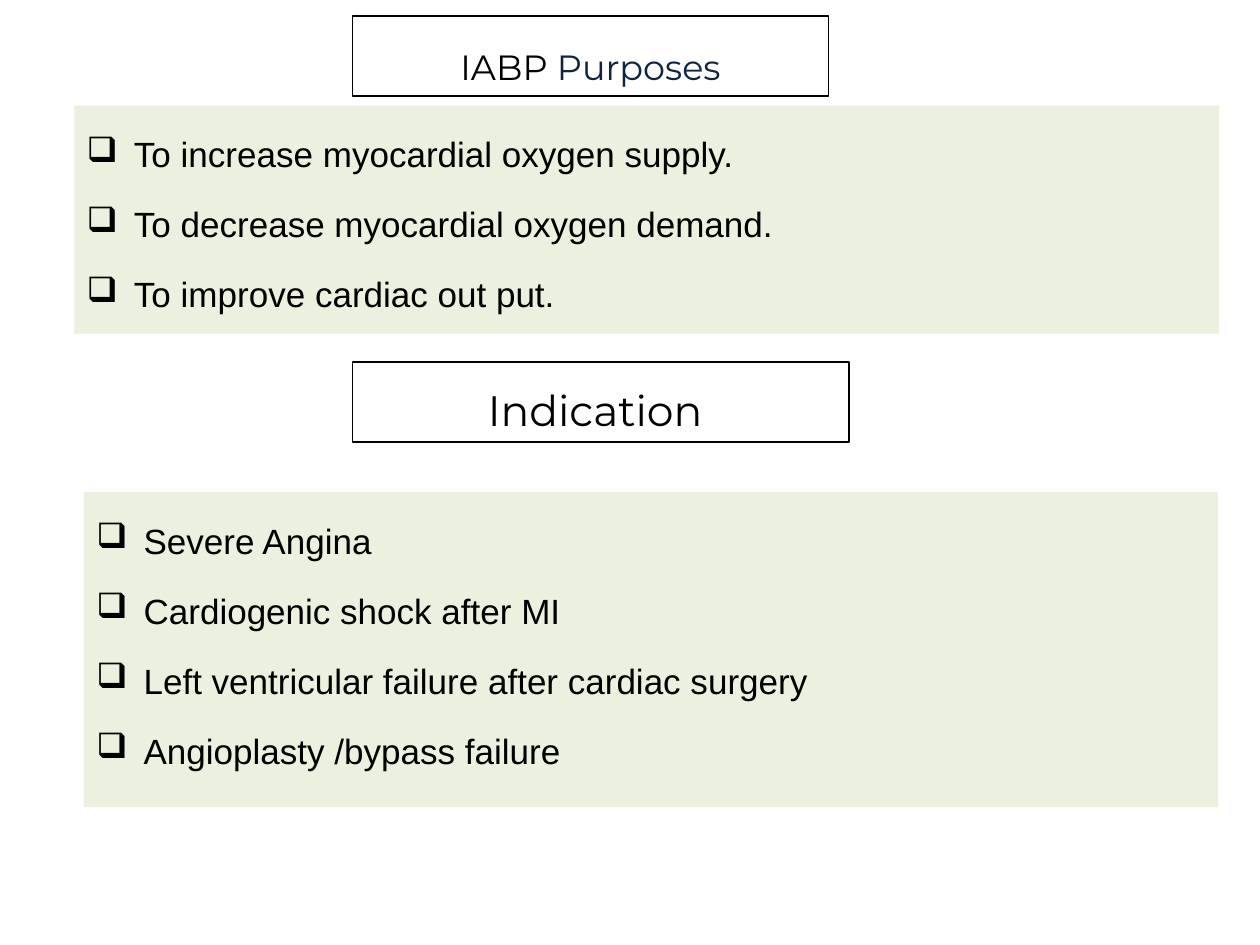
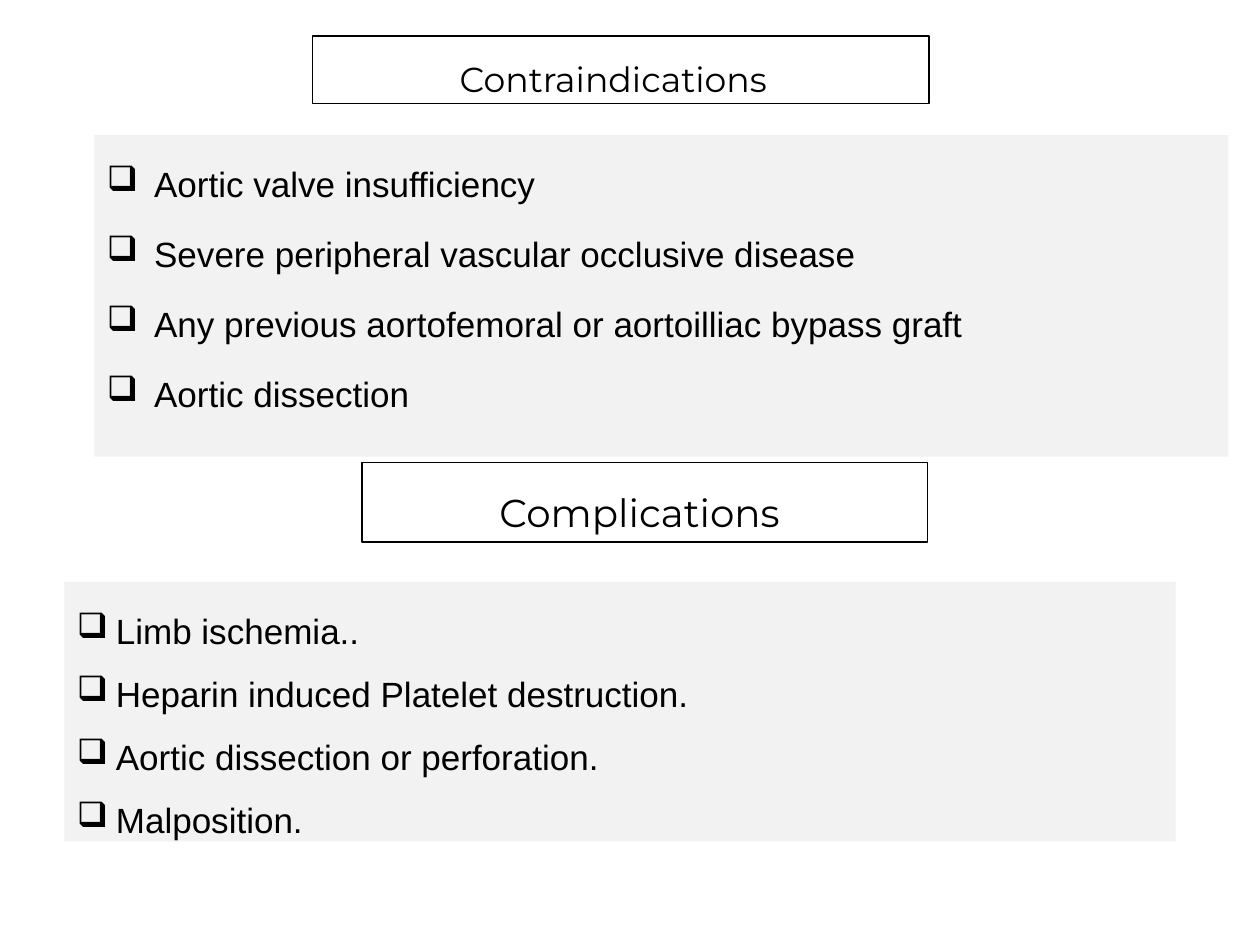
"""Build two slides on the purposes, indications and risks of IABP therapy."""
from lxml import etree
from pptx import Presentation
from pptx.dml.color import RGBColor
from pptx.enum import shapes, text
from pptx.oxml import ns
from pptx.util import Pt

BLACK = RGBColor(0x00, 0x00, 0x00)
NAVY = RGBColor(0x0F, 0x24, 0x3E)
GREEN = RGBColor(0xEB, 0xF1, 0xDE)
GREY = RGBColor(0xF2, 0xF2, 0xF2)
HEADING_FONT = "Montserrat"
BODY_FONT = "Arial"
BODY_SIZE = 20


def add_box(s, box, anchor):
    """Add a plain rectangle with wrapping text."""
    sp = s.shapes.add_shape(shapes.MSO_SHAPE.RECTANGLE, *map(Pt, box))
    sp.shadow.inherit = False
    tf = sp.text_frame
    tf.word_wrap = True
    tf.vertical_anchor = anchor
    return sp


def add_run(p, words, font, size, color=BLACK):
    """Append a formatted run to a paragraph."""
    r = p.add_run()
    r.text = words
    r.font.name = font
    r.font.size = Pt(size)
    r.font.color.rgb = color


def add_heading(s, box, runs, spacing=1.0):
    """Add an outlined heading made of (words, size, color) runs."""
    sp = add_box(s, box, text.MSO_ANCHOR.MIDDLE)
    sp.fill.background()
    sp.line.color.rgb = BLACK
    sp.line.width = Pt(1)
    p = sp.text_frame.paragraphs[0]
    p.alignment = text.PP_ALIGN.CENTER
    p.line_spacing = spacing
    for words, size, color in runs:
        add_run(p, words, HEADING_FONT, size, color)


def set_bullet(p, indent):
    """Give a paragraph a hanging box bullet."""
    pPr = p._p.get_or_add_pPr()
    pPr.set("marL", str(Pt(indent)))
    pPr.set("indent", str(-Pt(indent)))
    etree.SubElement(pPr, ns.qn("a:buChar")).set("char", "❑")


def add_checklist(s, box, fill, items, indent=27, gap=4):
    """Add a filled panel with one bulleted paragraph per item."""
    sp = add_box(s, box, text.MSO_ANCHOR.TOP)
    sp.fill.solid()
    sp.fill.fore_color.rgb = fill
    sp.line.fill.background()
    tf = sp.text_frame
    for i, item in enumerate(items):
        p = tf.add_paragraph() if i else tf.paragraphs[0]
        set_bullet(p, indent)
        p.alignment = text.PP_ALIGN.LEFT
        p.line_spacing = 1.5
        p.space_before = Pt(gap if i else 0)
        add_run(p, item, BODY_FONT, BODY_SIZE)


def add_purposes_slide(prs):
    """Add the slide on purposes and indications."""
    s = prs.slides.add_slide(prs.slide_layouts[6])
    add_heading(s, (201.5, 9.2, 272, 45.5),
                [("IABP ", 20, BLACK), ("Purposes", 20, NAVY)], 1.5)
    add_checklist(s, (42.5, 60.3, 654, 130.3), GREEN, [
        "To increase myocardial oxygen supply.",
        "To decrease myocardial oxygen demand.",
        "To improve cardiac out put.",
    ])
    add_heading(s, (201.5, 206.8, 283.5, 46), [("Indication ", 24.3, BLACK)], 1.3)
    add_checklist(s, (48, 281.3, 648, 180), GREEN, [
        "Severe Angina",
        "Cardiogenic shock after MI",
        "Left ventricular failure after cardiac surgery",
        "Angioplasty /bypass failure",
    ])


def add_risks_slide(prs):
    """Add the slide on contraindications and complications."""
    s = prs.slides.add_slide(prs.slide_layouts[6])
    add_checklist(s, (54, 77.2, 648, 183.8), GREY, [
        "Aortic valve insufficiency",
        "Severe peripheral vascular occlusive disease",
        "Any previous aortofemoral or aortoilliac bypass graft",
        "Aortic dissection",
    ])
    add_heading(s, (178.5, 20.7, 352.2, 38.5),
                [("Contraindications", 19.8, BLACK), (" ", 32.4, BLACK)])
    add_heading(s, (206.8, 264.3, 323.2, 45.5), [("Complications ", 22.2, BLACK)], 1.4)
    add_checklist(s, (36.8, 332.5, 635, 148.3), GREY, [
        "Limb ischemia..",
        "Heparin induced Platelet destruction.",
        "Aortic dissection or perforation.",
        "Malposition.",
    ], indent=22.3, gap=0)


def main():
    """Build and save the presentation."""
    prs = Presentation()
    prs.slide_width, prs.slide_height = Pt(720), Pt(540)
    add_purposes_slide(prs)
    add_risks_slide(prs)
    prs.save("out.pptx")


if __name__ == "__main__":
    main()
